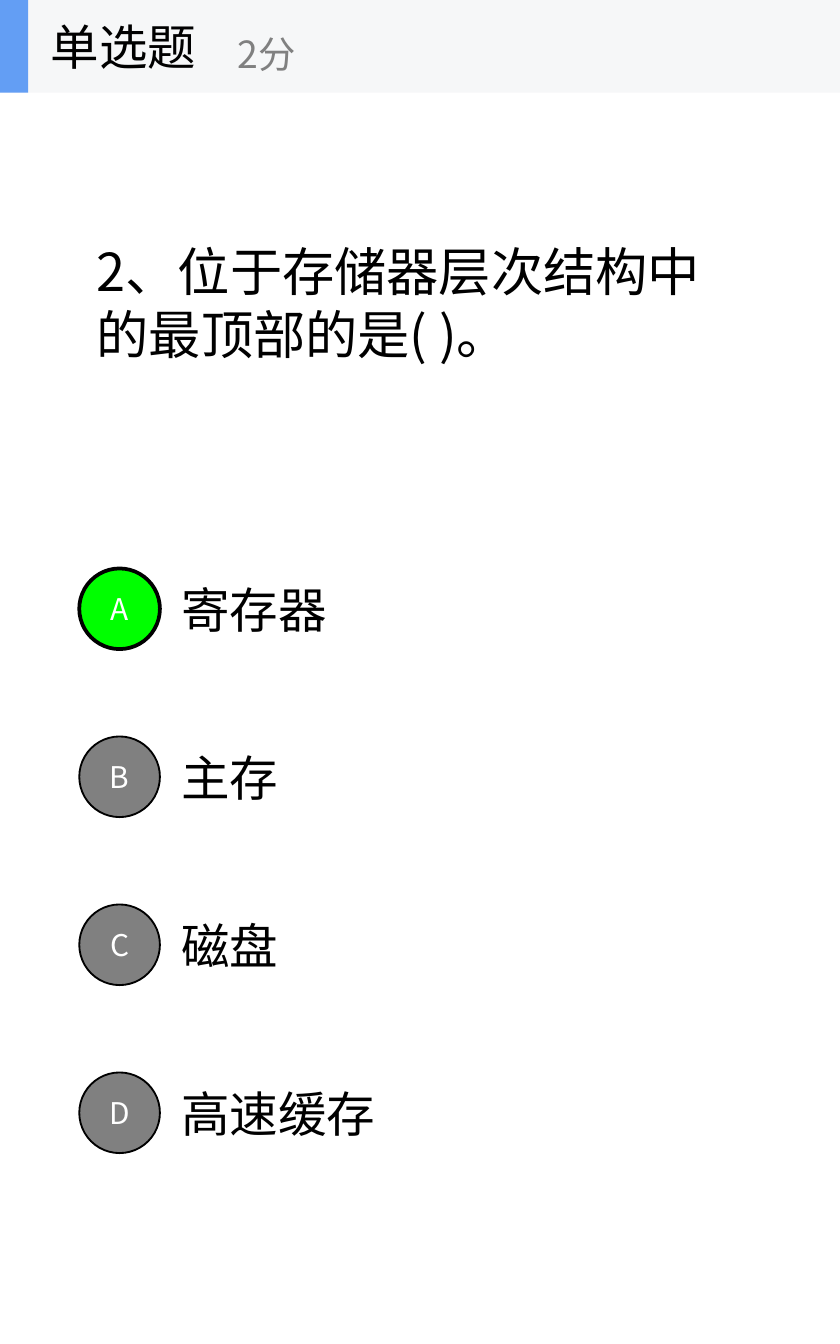
from lxml import etree
from pptx import Presentation
from pptx.dml.color import RGBColor
from pptx.enum.shapes import MSO_SHAPE
from pptx.enum.text import MSO_ANCHOR, MSO_AUTO_SIZE, PP_ALIGN
from pptx.oxml.ns import qn
from pptx.util import Inches, Pt

OVAL, RECT = MSO_SHAPE.OVAL, MSO_SHAPE.RECTANGLE
MIDDLE = MSO_ANCHOR.MIDDLE
LEFT, CENTER = PP_ALIGN.LEFT, PP_ALIGN.CENTER
FIXED = MSO_AUTO_SIZE.NONE

FONT = "Noto Sans CJK SC"
COLORS = {
    "ink": "000000",
    "white": "FFFFFF",
    "gray": "808080",
    "right": "00FF00",
    "bar": "F6F7F8",
    "accent": "639EF4",
}
OPTIONS = [("A", "寄存器"), ("B", "主存"), ("C", "磁盘"), ("D", "高速缓存")]
ANSWER = "A"
TOP, STEP = 4.06, 1.25
ROW, DOT = 0.94, 0.6


def color(name):
    return RGBColor.from_string(COLORS[name])


def write(shape, text, size, ink="ink", align=LEFT):
    """Fill a shape with one styled, vertically centred paragraph."""
    frame = shape.text_frame
    frame.text = text
    frame.word_wrap = True
    frame.auto_size = FIXED
    frame.vertical_anchor = MIDDLE
    para = frame.paragraphs[0]
    para.alignment = align
    for run in para.runs:
        run.font.size = Pt(size)
        run.font.color.rgb = color(ink)
        run.font.name = FONT
        # Chinese glyphs take the East Asian typeface
        props = run._r.get_or_add_rPr()
        etree.SubElement(props, qn("a:ea"), typeface=FONT)


def add_label(shapes, box, text, size, ink="ink"):
    label = shapes.add_textbox(*map(Inches, box))
    write(label, text, size, ink)


def add_block(shapes, kind, box, fill):
    block = shapes.add_shape(kind, *map(Inches, box))
    block.shadow.inherit = False
    block.fill.solid()
    block.fill.fore_color.rgb = color(fill)
    block.line.fill.background()
    return block


def add_title(slide, box, text):
    title = slide.shapes.title
    title.left, title.top, title.width, title.height = map(Inches, box)
    write(title, text, 28)


def add_option(shapes, top, letter, text):
    add_label(shapes, (1.25, top, 4.38, ROW), text, 26)
    right = letter == ANSWER
    box = (0.59, top + (ROW - DOT) / 2, DOT, DOT)
    dot = add_block(shapes, OVAL, box, "right" if right else "gray")
    dot.line.color.rgb = color("ink")
    dot.line.width = Pt(2 if right else 1)
    write(dot, letter, 16, "white", CENTER)


def add_header(slide):
    shapes = slide.shapes.add_group_shape().shapes
    add_block(shapes, RECT, (0, 0, 6.25, 0.69), "bar")
    add_block(shapes, RECT, (0, 0, 0.21, 0.69), "accent")
    add_label(shapes, (0.28, 0, 2.08, 0.69), "单选题", 26)
    add_label(shapes, (1.67, 0.12, 2.5, 0.56), "2分", 20, "gray")


def main():
    deck = Presentation()
    deck.slide_width, deck.slide_height = Inches(6.25), Inches(10)
    slide = deck.slides.add_slide(deck.slide_layouts[5])

    # Question
    add_title(slide, (0.62, 0.69, 5, 3.12), "2、位于存储器层次结构中的最顶部的是( )。")

    # Answer options
    for i, (letter, text) in enumerate(OPTIONS):
        add_option(slide.shapes, TOP + i * STEP, letter, text)

    # Header bar
    add_header(slide)

    deck.save("out.pptx")


if __name__ == "__main__":
    main()
